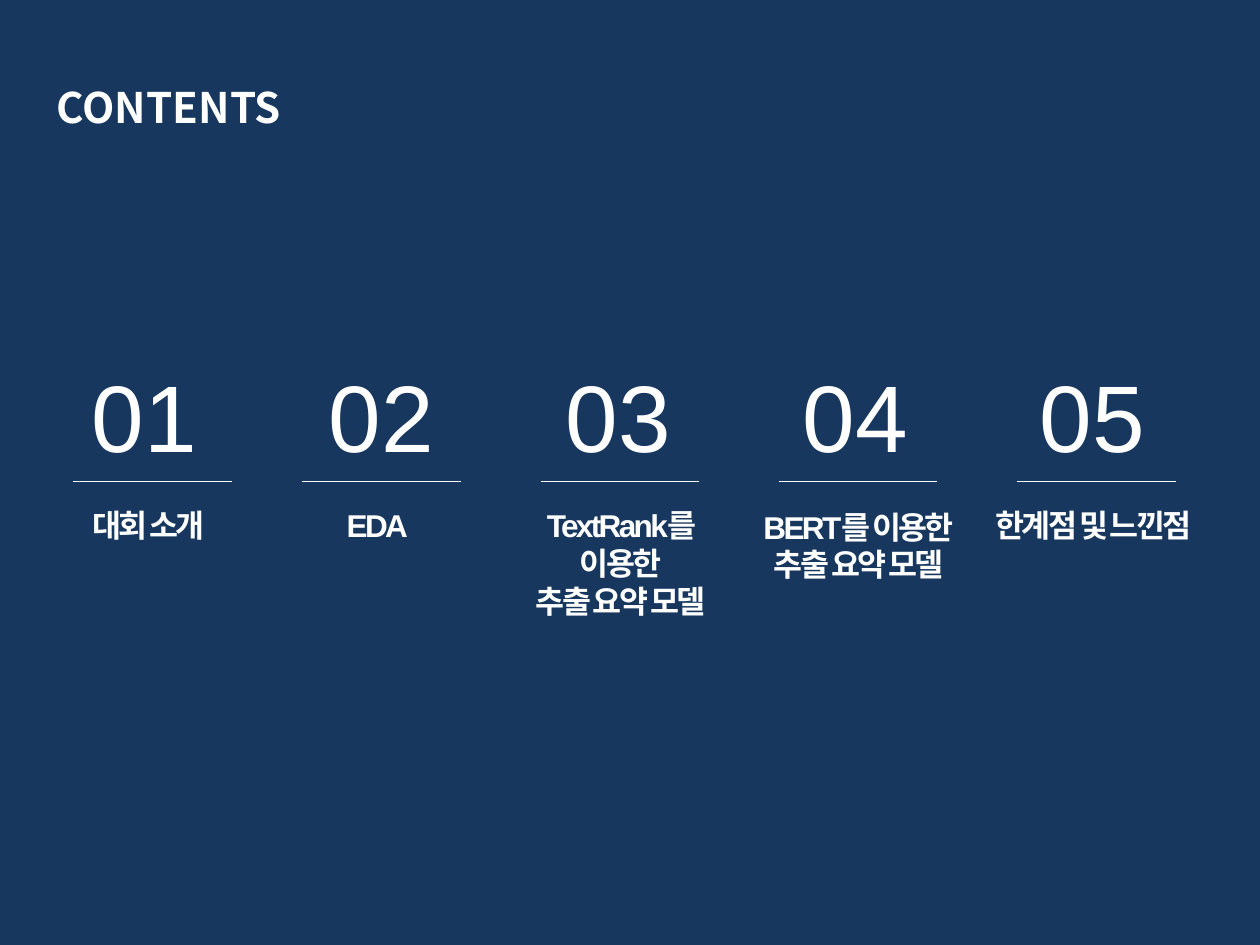
from lxml import etree
from pptx import Presentation, util as u
from pptx.dml.color import RGBColor
from pptx.enum import shapes, text
from pptx.oxml.ns import qn

NAVY = RGBColor(0x17, 0x37, 0x5E)
WHITE = RGBColor(0xFF, 0xFF, 0xFF)
LATIN, KOREAN = "Arial", "Noto Sans CJK KR"

# Label lines, rule left edge, label left, top and width
SECTIONS = [
    (["대회 소개"], 0.58, 0.43, 3.97, 1.5),
    (["EDA"], 2.4, 2.09, 3.97, 1.81),
    (["TextRank를 이용한", "추출 요약 모델"], 4.29, 3.9, 3.97, 2.05),
    (["BERT를 이용한", "추출 요약 모델"], 6.18, 5.79, 3.98, 2.05),
    (["한계점 및 느낀점"], 8.07, 7.48, 3.97, 2.4),
]
NUMBER_PITCH = 1.88
RULE_Y, RULE_WIDTH = 3.82, 1.26


class Deck:
    def __init__(self, prs):
        self.s = prs.slides.add_slide(prs.slide_layouts[5])
        fill = self.s.background.fill
        fill.solid()
        fill.fore_color.rgb = NAVY

    def set_text(self, sp, lines, align=text.PP_ALIGN.LEFT, spacing=0, **fmt):
        tf = sp.text_frame
        tf.word_wrap = True
        tf.auto_size = text.MSO_AUTO_SIZE.NONE
        tf.vertical_anchor = text.MSO_ANCHOR.TOP
        for i, line in enumerate(lines):
            p = tf.paragraphs[0] if i == 0 else tf.add_paragraph()
            p.alignment = align
            r = p.add_run()
            r.text = line
            for key, value in fmt.items():
                setattr(r.font, key, value)
            r.font.color.rgb = WHITE
            rPr = r._r.get_or_add_rPr()
            etree.SubElement(rPr, qn("a:ea"), typeface=KOREAN)
            if spacing:
                rPr.set("spc", str(int(spacing * 100)))
        return tf

    def title(self, line, x, y, w, h):
        sp = self.s.shapes.title
        sp.left, sp.top, sp.width, sp.height = map(u.Inches, (x, y, w, h))
        self.set_text(sp, [line], name=KOREAN, size=u.Pt(24), bold=True)

    def box(self, lines, x, y, w, h, **fmt):
        sp = self.s.shapes.add_textbox(*map(u.Inches, (x, y, w, h)))
        return self.set_text(sp, lines, name=LATIN, **fmt)

    def numbers(self, count, x, y, w, h):
        line = "\t".join(f"{n:02d}" for n in range(1, count + 1))
        tf = self.box([line], x, y, w, h, size=u.Pt(54))
        tf.margin_left = u.Inches(0.31)
        pPr = tf.paragraphs[0]._p.get_or_add_pPr()
        tabs = etree.SubElement(pPr, qn("a:tabLst"))
        for i in range(1, count):
            pos = u.Inches(NUMBER_PITCH * i)
            etree.SubElement(tabs, qn("a:tab"), pos=str(pos), algn="l")

    def rule(self, x, y, w):
        ends = map(u.Inches, (x, y, x + w, y))
        c = self.s.shapes.add_connector(shapes.MSO_CONNECTOR.STRAIGHT, *ends)
        c.line.color.rgb = WHITE
        c.line.width = u.Pt(0.75)
        etree.SubElement(c._element.spPr, qn("a:effectLst"))


def main():
    prs = Presentation()
    prs.slide_width, prs.slide_height = u.Inches(10), u.Inches(7.5)
    deck = Deck(prs)

    # Heading and the row of section numbers
    deck.title("CONTENTS", 0.35, 0.6, 4.57, 0.5)
    deck.numbers(len(SECTIONS), 0.42, 2.79, 9.29, 1.01)

    # Rule and label of each section
    for lines, rule_x, x, y, w in SECTIONS:
        deck.rule(rule_x, RULE_Y, RULE_WIDTH)
        deck.box(lines, x, y, w, 0.4 if len(lines) == 1 else 0.71,
                 align=text.PP_ALIGN.CENTER, spacing=-1.5,
                 size=u.Pt(18), bold=True)

    prs.save("out.pptx")


if __name__ == "__main__":
    main()
